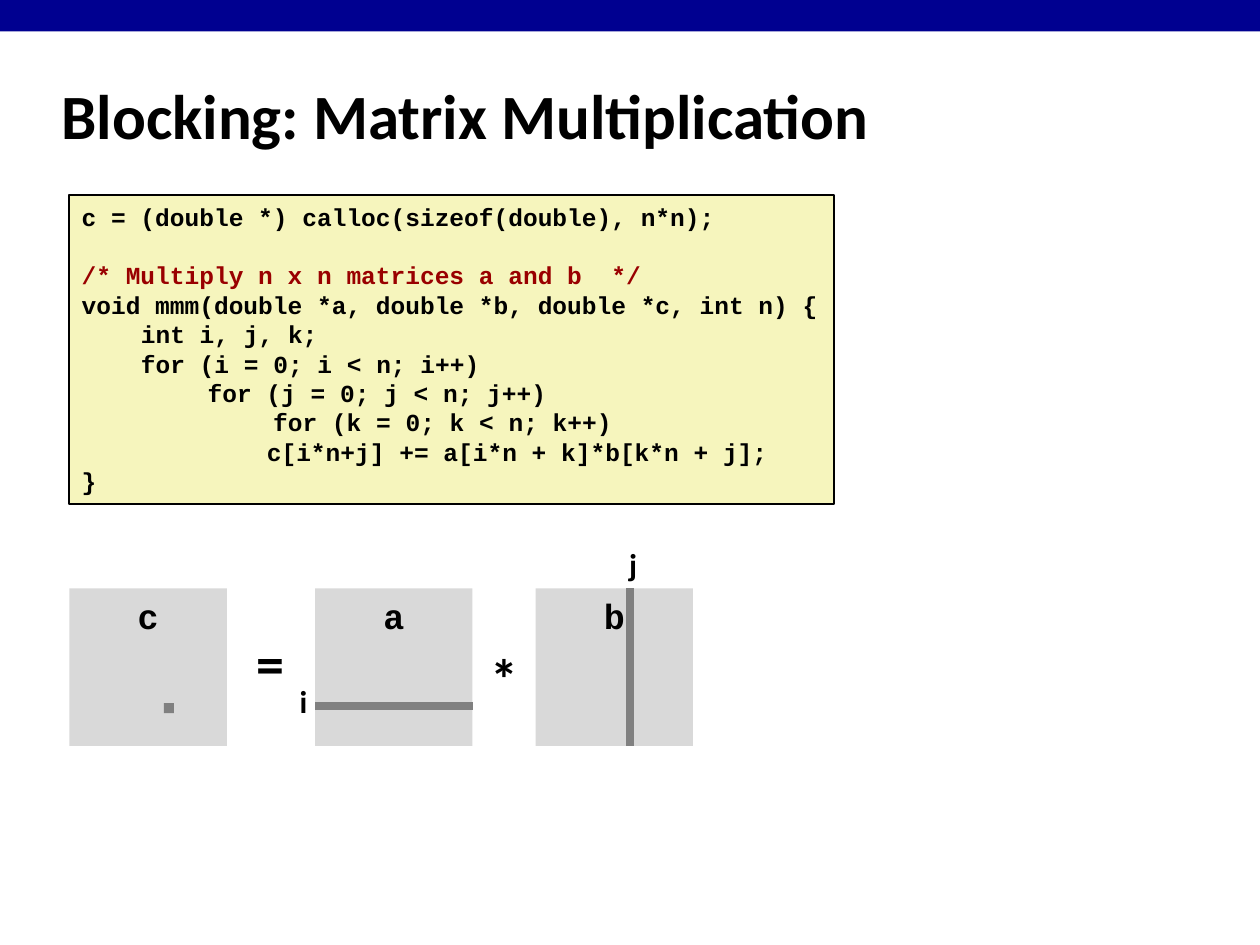
from dataclasses import dataclass

from lxml.etree import SubElement
from pptx import Presentation
from pptx.dml.color import RGBColor
from pptx.enum.shapes import MSO_CONNECTOR, MSO_SHAPE
from pptx.enum.text import MSO_ANCHOR, PP_ALIGN
from pptx.oxml.ns import qn
from pptx.util import Inches, Pt


@dataclass(frozen=True)
class Theme:
    """Colours, fonts and type sizes of the slide."""
    banner: str = "000090"
    ink: str = "000000"
    comment: str = "990000"
    code_fill: str = "F6F5BD"
    matrix: str = "D9D9D9"
    mark: str = "808080"
    sans: str = "Calibri"
    mono: str = "Courier New"
    title_size: float = 36
    operator_size: float = 32
    matrix_size: float = 20
    index_size: float = 18
    code_size: float = 14
    code_pitch: float = 16.8


THEME = Theme()
MATRIX_TOP, MATRIX_SIDE = 4.67, 1.25
MATRIX_LEFTS = {"c": 0.55, "a": 2.5, "b": 4.25}
ROW_I, COLUMN_J = 5.6, 5.0

# Each line: text, indent in inches, colour, blank lines before it.
CODE = [
    ("c = (double *) calloc(sizeof(double), n*n);", 0, THEME.ink, 0),
    ("/* Multiply n x n matrices a and b  */", 0, THEME.comment, 1),
    ("void mmm(double *a, double *b, double *c, int n) {", 0, THEME.ink, 0),
    ("int i, j, k;", 0.47, THEME.ink, 0),
    ("for (i = 0; i < n; i++)", 0.47, THEME.ink, 0),
    ("for (j = 0; j < n; j++)", 1, THEME.ink, 0),
    ("for (k = 0; k < n; k++)", 1.52, THEME.ink, 0),
    ("c[i*n+j] += a[i*n + k]*b[k*n + j];", 1.47, THEME.ink, 0),
    ("}", 0, THEME.ink, 0),
]

# Each label: text, left, top, width, height, type size.
LABELS = [
    ("i", 2.28, 5.4, 0.26, 0.4, THEME.index_size),
    ("j", 4.89, 4.31, 0.27, 0.4, THEME.index_size),
    ("*", 3.79, 5.12, 0.43, 0.64, THEME.operator_size),
    ("=", 1.93, 5, 0.43, 0.64, THEME.operator_size),
]


def style(para, font, size, color=THEME.ink):
    """Set the bold type of a paragraph."""
    para.font.name = font
    para.font.size = Pt(size)
    para.font.bold = True
    para.font.color.rgb = RGBColor.from_string(color)


def add_box(page, left, top, width, height, fill, line=None):
    """Add a flat rectangle, outlined if a line colour is given."""
    box = page.shapes.add_shape(MSO_SHAPE.RECTANGLE, Inches(left), Inches(top),
                                Inches(width), Inches(height))
    box.shadow.inherit = False
    box.fill.solid()
    box.fill.fore_color.rgb = RGBColor.from_string(fill)
    if line:
        box.line.color.rgb = RGBColor.from_string(line)
        box.line.width = Pt(1)
    else:
        box.line.fill.background()
    return box


def add_title(page, text):
    """Add the slide title."""
    box = page.shapes.add_textbox(Inches(0.39), Inches(0.49), Inches(8.3), Inches(0.83))
    frame = box.text_frame
    frame.word_wrap = True
    frame.vertical_anchor = MSO_ANCHOR.MIDDLE
    para = frame.paragraphs[0]
    para.text = text
    style(para, THEME.sans, THEME.title_size)


def add_label(page, text, left, top, width, height, size):
    """Add a centred index or operator."""
    box = page.shapes.add_textbox(Inches(left), Inches(top), Inches(width), Inches(height))
    box.text_frame.word_wrap = False
    para = box.text_frame.paragraphs[0]
    para.text = text
    para.alignment = PP_ALIGN.CENTER
    para.line_spacing = 0.9
    style(para, THEME.sans, size)


def add_matrix(page, name, left):
    """Add a named square that stands for a matrix."""
    box = add_box(page, left, MATRIX_TOP, MATRIX_SIDE, MATRIX_SIDE, THEME.matrix)
    box.text_frame.vertical_anchor = MSO_ANCHOR.TOP
    para = box.text_frame.paragraphs[0]
    para.text = name
    para.alignment = PP_ALIGN.CENTER
    style(para, THEME.mono, THEME.matrix_size)


def add_mark(page, start, end):
    """Add a thick line that marks a row or a column."""
    line = page.shapes.add_connector(MSO_CONNECTOR.STRAIGHT,
                                     *(Inches(value) for value in (*start, *end)))
    line.line.color.rgb = RGBColor.from_string(THEME.mark)
    line.line.width = Pt(4.5)
    SubElement(line.element.spPr, qn("a:effectLst"))


def add_code(page, lines):
    """Add the code listing, one paragraph a line."""
    frame = add_box(page, 0.55, 1.55, 6.07, 2.45, THEME.code_fill, THEME.ink).text_frame
    frame.word_wrap = False
    frame.vertical_anchor = MSO_ANCHOR.TOP
    for number, (text, indent, color, blanks) in enumerate(lines):
        para = frame.add_paragraph() if number else frame.paragraphs[0]
        para.text = text
        para.alignment = PP_ALIGN.LEFT
        para.line_spacing = Pt(THEME.code_pitch)
        para.space_before = Pt(blanks * THEME.code_pitch)
        properties = para._p.get_or_add_pPr()
        properties.set("marL", str(Inches(indent)))
        properties.set("indent", "0")
        style(para, THEME.mono, THEME.code_size, color)


def main():
    """Build and save the slide."""
    deck = Presentation()
    deck.slide_width, deck.slide_height = Inches(10), Inches(7.5)
    page = deck.slides.add_slide(deck.slide_layouts[6])
    add_box(page, 0, 0, 10, 0.25, THEME.banner)
    add_title(page, "Blocking: Matrix Multiplication")
    for name, left in MATRIX_LEFTS.items():
        add_matrix(page, name, left)
    row_left = MATRIX_LEFTS["a"]
    add_mark(page, (row_left, ROW_I), (row_left + MATRIX_SIDE, ROW_I))
    add_mark(page, (COLUMN_J, MATRIX_TOP), (COLUMN_J, MATRIX_TOP + MATRIX_SIDE))
    add_box(page, 1.3, 5.58, 0.08, 0.08, THEME.mark)
    for label in LABELS:
        add_label(page, *label)
    add_code(page, CODE)
    deck.save("out.pptx")


main()
